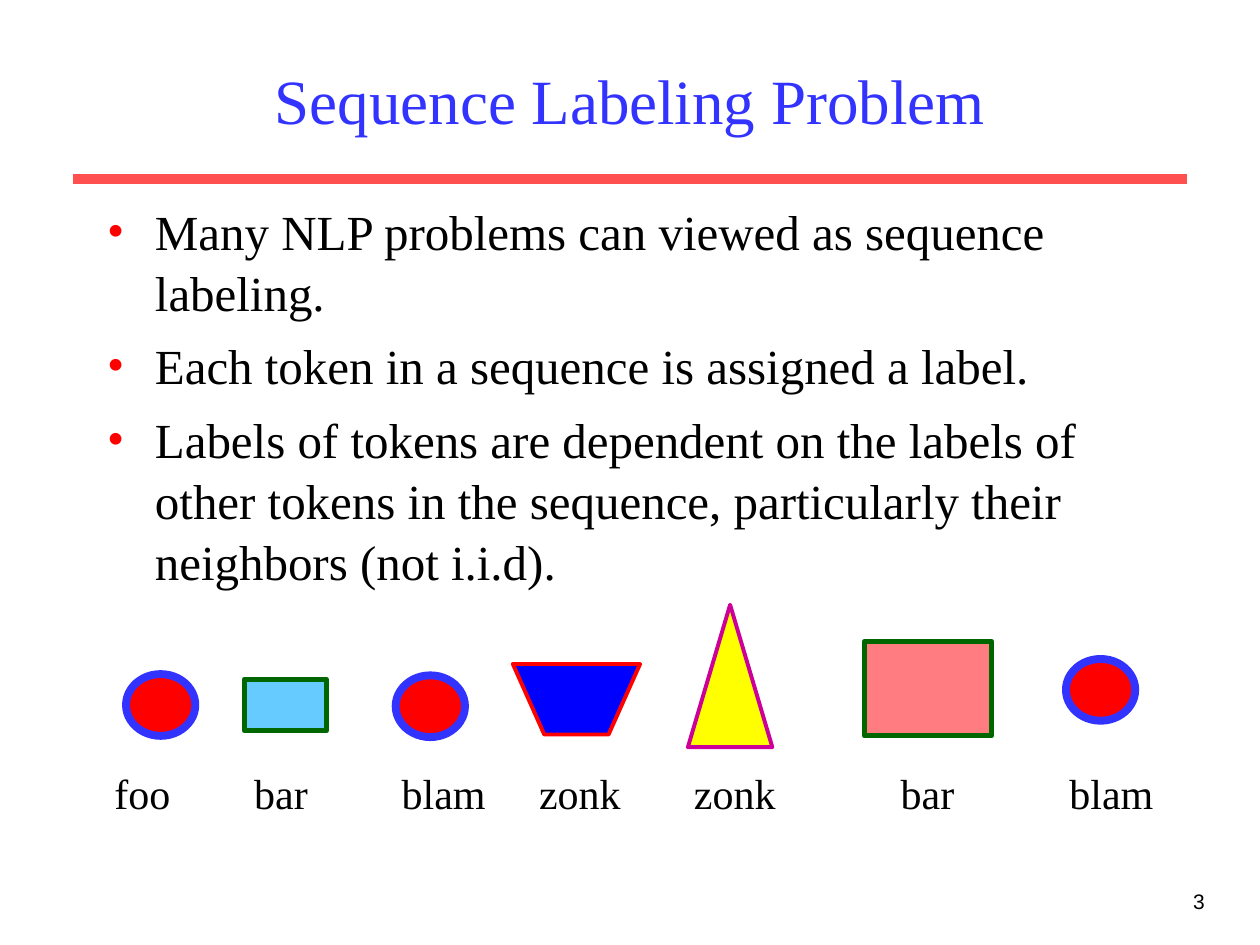
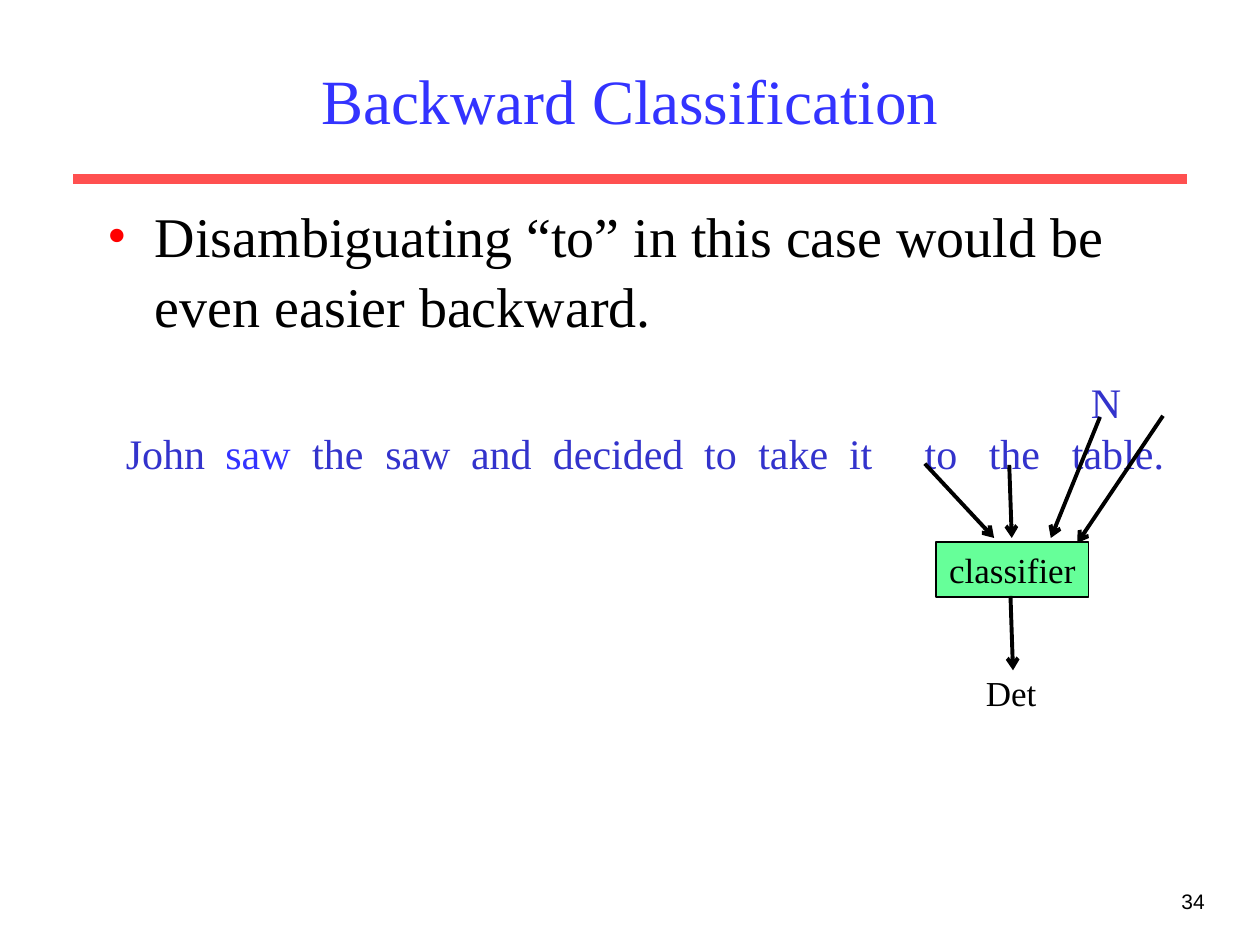
from dataclasses import dataclass

from lxml.etree import SubElement
from pptx import Presentation
from pptx.dml.color import RGBColor
from pptx.enum.shapes import MSO_CONNECTOR, MSO_SHAPE
from pptx.enum.text import MSO_ANCHOR, MSO_AUTO_SIZE, PP_ALIGN
from pptx.oxml.ns import qn
from pptx.util import Inches, Pt


@dataclass(frozen=True)
class Theme:
    serif: str = "Times New Roman"
    sans: str = "Arial"
    ink: str = "000000"
    title: str = "3333FF"
    rule: str = "FF5050"
    bullet: str = "FF0000"
    sentence: str = "3333CC"
    classifier: str = "66FF99"
    red: str = "FF0000"
    blue: str = "0000FF"
    sky: str = "66CCFF"
    green: str = "006600"
    yellow: str = "FFFF00"
    magenta: str = "CC0099"
    salmon: str = "FF7C80"
    title_size: int = 36
    label_size: int = 24
    node_size: int = 20
    number_size: int = 12


THEME = Theme()

# The slide is a grid of 10 columns by 7.5 rows, each cell one inch
COLUMNS, ROWS = 10, 7.5
MARGIN = 0.75
BODY_WIDTH = COLUMNS - 2 * MARGIN
RULE_LEFT, RULE_ROW = 0.58, 1.42
HANGING = 0.38


def cells(*values):
    return [Inches(value) for value in values]


# Text
def write(para, text, font=THEME.serif, size=THEME.label_size, color=THEME.ink,
          align=PP_ALIGN.LEFT, before=0, spacing=1.0, tabs=()):
    """Write text, or a list of (text, colour) spans, with its format."""
    para.alignment = align
    para.space_before = Pt(before)
    para.line_spacing = spacing
    if tabs:
        tab_list = SubElement(para._p.get_or_add_pPr(), qn("a:tabLst"))
        for stop in tabs:
            SubElement(tab_list, qn("a:tab"), pos=str(Inches(stop)), algn="l")
    spans = [(text, color)] if isinstance(text, str) else text
    for words, shade in spans:
        span = para.add_run()
        span.text = words
        span.font.name = font
        span.font.size = Pt(size)
        span.font.color.rgb = RGBColor.from_string(shade)


def add_bullet(para):
    properties = para._p.get_or_add_pPr()
    properties.set("marL", str(Inches(HANGING)))
    properties.set("indent", str(-Inches(HANGING)))
    color = SubElement(properties, qn("a:buClr"))
    SubElement(color, qn("a:srgbClr"), val=THEME.bullet)
    SubElement(properties, qn("a:buFont"), typeface=THEME.serif)
    SubElement(properties, qn("a:buChar"), char="•")


def add_label(page, area, text, **style):
    box = page.shapes.add_textbox(*cells(*area))
    box.text_frame.word_wrap = True
    write(box.text_frame.paragraphs[0], text, **style)
    return box


def place(holder, area):
    holder.left, holder.top, holder.width, holder.height = cells(*area)
    holder.text_frame.auto_size = MSO_AUTO_SIZE.NONE
    return holder.text_frame


def add_list(page, items, size, height):
    frame = place(page.placeholders[1], (MARGIN, 1.53, BODY_WIDTH, height))
    for index, item in enumerate(items):
        para = frame.add_paragraph() if index else frame.paragraphs[0]
        add_bullet(para)
        write(para, item, size=size, before=size / 4 if index else 0, spacing=1.04)


# Shapes and lines
def paint(shape, fill, line, width):
    shape.shadow.inherit = False
    shape.fill.solid()
    shape.fill.fore_color.rgb = RGBColor.from_string(fill)
    shape.line.color.rgb = RGBColor.from_string(line)
    shape.line.width = Pt(width)


def add_figure(page, kind, area, fill, line, width):
    shape = page.shapes.add_shape(kind, *cells(*area))
    paint(shape, fill, line, width)
    return shape


def add_circle(page, left, top):
    add_figure(page, MSO_SHAPE.OVAL, (left, top, 0.55, 0.49),
               THEME.red, THEME.title, 4.5)


def add_bucket(page, left, top, width, height, inset):
    right, bottom = left + width, top + height
    outline = page.shapes.build_freeform(*cells(left, top), scale=1.0)
    corners = [(left + inset, bottom), (right - inset, bottom), (right, top)]
    outline.add_line_segments([cells(*corner) for corner in corners], close=True)
    paint(outline.convert_to_shape(), THEME.blue, THEME.red, 2.25)


def add_line(page, start, end, color=THEME.ink, width=2.25, arrow=True):
    line = page.shapes.add_connector(MSO_CONNECTOR.STRAIGHT,
                                     *cells(*start), *cells(*end))
    line.line.color.rgb = RGBColor.from_string(color)
    line.line.width = Pt(width)
    if arrow:
        SubElement(line.line._get_or_add_ln(), qn("a:tailEnd"), type="arrow")
    SubElement(line._element.spPr, qn("a:effectLst"))


# Frame shared by all slides
def add_page(deck, title, number):
    page = deck.slides.add_slide(deck.slide_layouts[1])
    add_line(page, (RULE_LEFT, RULE_ROW), (COLUMNS - RULE_LEFT, RULE_ROW),
             color=THEME.rule, width=6, arrow=False)
    add_label(page, (7.58, 7, 2.08, 0.5), str(number), font=THEME.sans,
              size=THEME.number_size, align=PP_ALIGN.RIGHT)
    frame = place(page.shapes.title, (MARGIN, 0.25, BODY_WIDTH, 1.08))
    frame.vertical_anchor = MSO_ANCHOR.MIDDLE
    write(frame.paragraphs[0], title, size=THEME.title_size,
          color=THEME.title, align=PP_ALIGN.CENTER)
    return page


def build_labeling(deck):
    page = add_page(deck, "Sequence Labeling Problem", 3)
    add_list(page, [
        "Many NLP problems can viewed as sequence labeling.",
        "Each token in a sequence is assigned a label.",
        "Labels of tokens are dependent on the labels of other tokens in the "
        "sequence, particularly their neighbors (not i.i.d).",
    ], size=28, height=3.17)

    # Tokens
    for left, top in [(1, 5.35), (3.14, 5.36), (8.46, 5.23)]:
        add_circle(page, left, top)
    add_figure(page, MSO_SHAPE.RECTANGLE, (1.94, 5.39, 0.65, 0.41),
               THEME.sky, THEME.green, 3)
    add_bucket(page, 4.07, 5.27, 1.01, 0.56, inset=0.25)
    add_figure(page, MSO_SHAPE.ISOSCELES_TRIANGLE, (5.46, 4.8, 0.67, 1.13),
               THEME.yellow, THEME.magenta, 2.25)
    add_figure(page, MSO_SHAPE.RECTANGLE, (6.86, 5.09, 1.01, 0.75),
               THEME.salmon, THEME.green, 3)

    # Their labels
    labels = ["foo", "bar", "blam", "zonk", "zonk", "bar", "blam"]
    add_label(page, (0.81, 6.04, 8.6, 0.5), "\t".join(labels),
              tabs=(1.11, 2.28, 3.37, 4.6, 6.24, 7.58))


def build_backward(deck):
    page = add_page(deck, "Backward Classification", 34)
    add_list(page, ["Disambiguating “to” in this case would be even easier "
                    "backward."], size=32, height=5.13)

    # Sentence with the tag found so far
    box = add_label(page, (0.9, 2.94, 8.6, 0.9), "\tN",
                    color=THEME.sentence, tabs=(7.66,))
    rest = "the saw and decided to take it to the table.".split()
    write(box.text_frame.add_paragraph(),
          [("John\t", THEME.sentence), ("saw", THEME.title),
           ("\t" + "\t".join(rest), THEME.sentence)],
          tabs=(0.79, 1.48, 2.06, 2.74, 3.39, 4.59, 5.02, 5.74, 6.34, 6.85, 7.51))

    # Classifier with its inputs and output
    node = add_figure(page, MSO_SHAPE.RECTANGLE, (7.43, 4.3, 1.21, 0.44),
                      THEME.classifier, THEME.ink, 1)
    node.text_frame.vertical_anchor = MSO_ANCHOR.MIDDLE
    write(node.text_frame.paragraphs[0], "classifier",
          size=THEME.node_size, align=PP_ALIGN.CENTER)
    add_label(page, (7.64, 5.28, 0.77, 0.44), "Det",
              size=THEME.node_size, align=PP_ALIGN.CENTER)
    for start, end in [((7.34, 3.68), (7.89, 4.27)),
                       ((8.01, 3.69), (8.03, 4.27)),
                       ((8.73, 3.31), (8.34, 4.27)),
                       ((9.23, 3.3), (8.55, 4.31)),
                       ((8.02, 4.73), (8.04, 5.32))]:
        add_line(page, start, end)


def main():
    deck = Presentation()
    deck.slide_width, deck.slide_height = cells(COLUMNS, ROWS)
    build_labeling(deck)
    build_backward(deck)
    deck.save("out.pptx")


if __name__ == "__main__":
    main()
